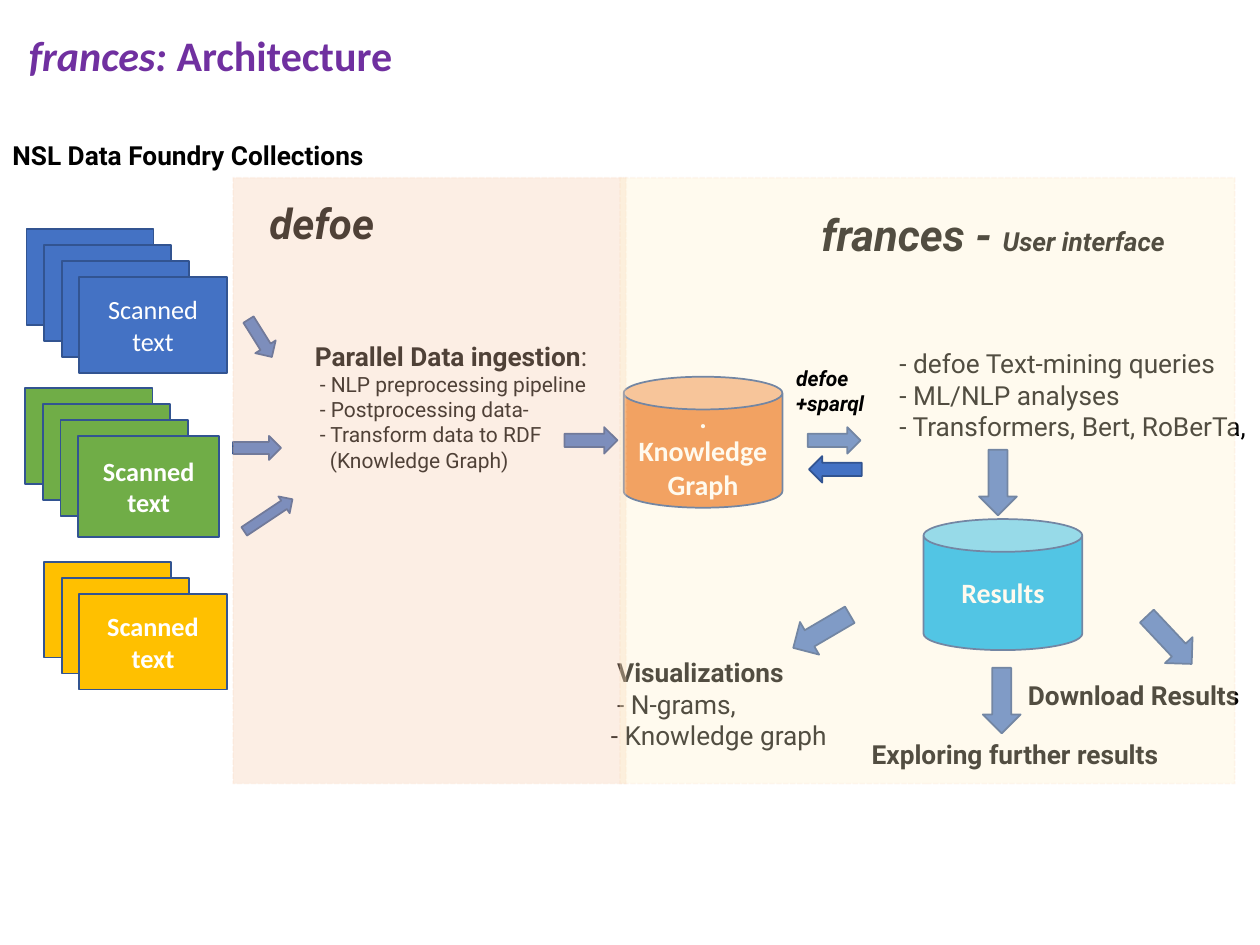
from lxml import etree
from pptx import Presentation
from pptx.dml.color import RGBColor
from pptx.enum import dml, shapes, text
from pptx.oxml import ns
from pptx.util import Inches, Pt

BLUE, EDGE, BLACK, WHITE = "4472C4", "325491", "000000", "FFFFFF"
KIND = shapes.MSO_SHAPE


def color(code):
    return RGBColor.from_string(code)


def box_of(x, y, w, h):
    return [Inches(v) for v in (x, y, w, h)]


def style(font, size, face, ink, bold, slant=False):
    font.size, font.name = Pt(size), face
    font.color.rgb = color(ink)
    font.bold, font.italic = bold, slant


def write(frame, lines, size, face="Roboto", ink=BLACK, bold=False,
          slant=False, align=text.PP_ALIGN.LEFT):
    for i, line in enumerate(lines):
        para = frame.paragraphs[0] if i == 0 else frame.add_paragraph()
        para.alignment = align
        para.add_run().text = line
        style(para.font, size, face, ink, bold, slant)


def label(slide, box, lines, size=15, wrap=True, **look):
    frame = slide.shapes.add_textbox(*box_of(*box)).text_frame
    frame.word_wrap = wrap
    write(frame, lines, size, **look)
    return frame


def indent(para, gap):
    para._p.get_or_add_pPr().set("marL", str(Inches(gap)))


def block(slide, kind, box, fill, lines=(), size=15, bold=True):
    shape = slide.shapes.add_shape(kind, *box_of(*box))
    shape.shadow.inherit = False
    shape.fill.solid()
    shape.fill.fore_color.rgb = color(fill)
    shape.line.color.rgb = color(EDGE)
    shape.line.width = Pt(1)
    frame = shape.text_frame
    frame.vertical_anchor = text.MSO_ANCHOR.MIDDLE
    write(frame, lines, size, "Calibri", WHITE, bold,
          align=text.PP_ALIGN.CENTER)
    return shape


def arrow(slide, box, turn=0):
    block(slide, KIND.RIGHT_ARROW, box, BLUE).rotation = turn


def fade(fill, part):
    tone = fill._xPr.find(".//" + ns.qn("a:srgbClr"))
    etree.SubElement(tone, ns.qn("a:alpha")).set("val", str(part * 1000))


def panel(slide, box, fill):
    shape = block(slide, KIND.RECTANGLE, box, fill)
    fade(shape.fill, 32)
    shape.line.color.rgb = color("F8CBAD")
    shape.line.dash_style = dml.MSO_LINE.SQUARE_DOT
    fade(shape.line.fill, 13)


def title(slide, box):
    frame = label(slide, box, [])
    frame.margin_left = frame.margin_right = Inches(0.07)
    frame.margin_top = Inches(0.02)
    para = frame.paragraphs[0]
    para.line_spacing = 0.7
    for words, slant in (("frances:", True), (" Architecture", False)):
        run = para.add_run()
        run.text = words
        style(run.font, 24, "Calibri", "7030A0", True, slant)


def stack(slide, box, fill, count, front, bold=True):
    x, y = box
    for i in range(count - 1):
        block(slide, KIND.RECTANGLE,
              (x + 0.14 * i, y + 0.127 * i, 1.01, 0.76), fill)
    last = count - 1
    block(slide, KIND.RECTANGLE, (x + 0.14 * last, y + 0.127 * last, *front),
          fill, ["Scanned", "text"], bold=bold)


def sources(slide, box):
    x, y = box
    label(slide, (x, y, 3.72, 0.35), ["NSL Data Foundry Collections"],
          wrap=False, bold=True)
    stack(slide, (x + 0.21, y + 0.76), BLUE, 4, (1.17, 0.76), False)
    stack(slide, (x + 0.2, y + 2.02), "70AD47", 4, (1.12, 0.8))
    stack(slide, (x + 0.35, y + 3.4), "FFC000", 3, (1.17, 0.76))


def defoe(slide, box):
    x, y = box[:2]
    label(slide, (x + 0.19, y + 0.11, 1.68, 0.5), ["defoe"], 24,
          bold=True, slant=True)
    arrow(slide, (x + 0.04, y + 1.18, 0.35, 0.19), 58)
    arrow(slide, (x, y + 2.05, 0.38, 0.19))
    arrow(slide, (x + 0.05, y + 2.6, 0.46, 0.16), 326.3)
    arrow(slide, (x + 2.63, y + 1.98, 0.42, 0.21))
    frame = label(slide, (x + 0.55, y + 1.24, 2.46, 1.41), [])
    head = frame.paragraphs[0]
    for words, bold in (("Parallel Data ingestion", True), (":", False)):
        run = head.add_run()
        run.text = words
        style(run.font, 15, "Roboto", BLACK, bold)
    steps = (("- NLP preprocessing pipeline", 0.04),
             ("- Postprocessing data-", 0.04),
             ("- Transform data to RDF", 0.04),
             ("(Knowledge Graph)", 0.12))
    for words, gap in steps:
        para = frame.add_paragraph()
        indent(para, gap)
        para.add_run().text = words
        style(para.font, 12, "Roboto", BLACK, False)


def frances(slide, box):
    x, y = box[:2]
    head = label(slide, (x + 1.5, y + 0.19, 3.48, 0.52), []).paragraphs[0]
    for words, size in (("frances - ", 25), ("User interface", 15)):
        run = head.add_run()
        run.text = words
        style(run.font, size, "Roboto", BLACK, True, True)
    label(slide, (x + 2.12, y + 1.3, 3.23, 1.36),
          ["- defoe Text-mining queries", "- ML/NLP analyses",
           "- Transformers, Bert, RoBerTa,"])
    views = label(slide, (x - 0.17, y + 3.75, 3.74, 1.11),
                  ["Visualizations", "- N-grams,", "- Knowledge graph"])
    views.paragraphs[0].font.bold = True
    for para in views.paragraphs[:2]:
        indent(para, 0.05)
    label(slide, (x + 3.14, y + 3.93, 3.12, 0.35), ["Download Results"],
          bold=True)
    label(slide, (x + 1.9, y + 4.4, 3.74, 0.61),
          ["Exploring further results"], bold=True)
    block(slide, KIND.CAN, (x + 0.03, y + 1.58, 1.26, 1.04), "ED7D31",
          [".", "Knowledge", "Graph"], 16)
    block(slide, KIND.CAN, (x + 2.41, y + 2.71, 1.26, 1.04), "00B0F0",
          ["Results"], 16)
    arrow(slide, (x + 1.49, y + 1.98, 0.42, 0.21))
    for dx, dy, turn in ((2.74, 2.27, 90), (1.34, 3.45, 149.6),
                         (2.77, 4, 90), (4.1, 3.52, 46.8)):
        arrow(slide, (x + dx, y + dy, 0.52, 0.3), turn)


def query(slide, box):
    x, y = box
    arrow(slide, (x + 0.2, y + 0.77, 0.42, 0.21), 180)
    label(slide, (x, y, 1.68, 0.5), ["defoe", "+sparql"], 12,
          bold=True, slant=True)


def main():
    deck = Presentation()
    deck.slide_width, deck.slide_height = Inches(10), Inches(7.5)
    slide = deck.slides.add_slide(deck.slide_layouts[6])
    left, right = (1.85, 1.41, 3.12, 4.81), (4.92, 1.41, 4.88, 4.81)
    title(slide, (0.16, 0.32, 9.31, 0.89))
    sources(slide, (0, 1.06))
    defoe(slide, left)
    frances(slide, right)
    panel(slide, left, "F8CBAD")
    panel(slide, right, "FFF2CC")
    query(slide, (6.22, 2.85))
    deck.save("out.pptx")


if __name__ == "__main__":
    main()
